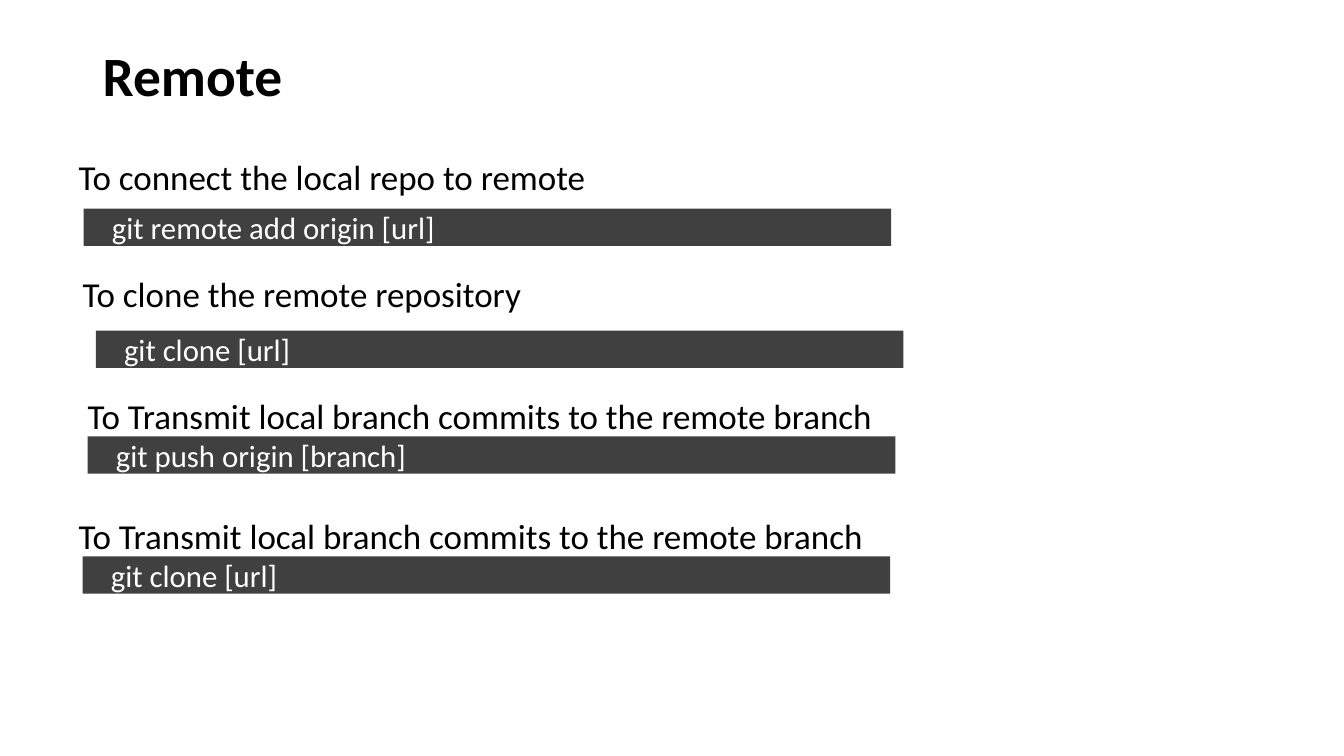
import dataclasses

import pptx
import pptx.dml.color
import pptx.enum.shapes
import pptx.enum.text
import pptx.util
from pptx.util import Inches


@dataclasses.dataclass(frozen=True)
class Theme:
    font: str = "Calibri"
    ink: str = "000000"
    code_ink: str = "FFFFFF"
    code_fill: str = "404040"
    title_size: float = 39.6
    label_size: float = 25
    code_size: float = 22


THEME = Theme()

STEPS = [
    ("To connect the local repo to remote", (0.78, 1.54),
     "git remote add origin [url]", (0.83, 2.07)),
    ("To clone the remote repository", (0.82, 2.7),
     "git clone [url]", (0.95, 3.28)),
    ("To Transmit local branch commits to the remote branch", (0.87, 3.91),
     "git push origin [branch]", (0.87, 4.33)),
    ("To Transmit local branch commits to the remote branch", (0.78, 5.1),
     "git clone [url]", (0.82, 5.52)),
]


def write(sp, text, size, color, anchor, margins, bold=False):
    tf = sp.text_frame
    tf.word_wrap = True
    tf.vertical_anchor = anchor
    tf.margin_left, tf.margin_top, tf.margin_right, tf.margin_bottom = map(Inches, margins)
    p = tf.paragraphs[0]
    p.alignment = pptx.enum.text.PP_ALIGN.LEFT
    r = p.add_run()
    r.text = text
    r.font.name = THEME.font
    r.font.size = pptx.util.Pt(size)
    r.font.bold = bold
    r.font.color.rgb = pptx.dml.color.RGBColor.from_string(color)
    return p


def add_title(s, text, left, top, width, height):
    sp = s.shapes.add_textbox(*map(Inches, (left, top, width, height)))
    p = write(sp, text, THEME.title_size, THEME.ink,
              pptx.enum.text.MSO_ANCHOR.MIDDLE, (0.1, 0.05, 0.1, 0.05), bold=True)
    p.line_spacing = 0.9


def add_label(s, text, left, top, width=12.05, height=0.42):
    sp = s.shapes.add_textbox(*map(Inches, (left, top, width, height)))
    write(sp, text, THEME.label_size, THEME.ink,
          pptx.enum.text.MSO_ANCHOR.MIDDLE, (0, 0, 0, 0))


def add_command(s, text, left, top, width=8.01, height=0.37):
    sp = s.shapes.add_shape(pptx.enum.shapes.MSO_SHAPE.RECTANGLE,
                            *map(Inches, (left, top, width, height)))
    sp.shadow.inherit = False
    sp.fill.solid()
    sp.fill.fore_color.rgb = pptx.dml.color.RGBColor.from_string(THEME.code_fill)
    sp.line.fill.background()
    write(sp, text, THEME.code_size, THEME.code_ink,
          pptx.enum.text.MSO_ANCHOR.TOP, (0.28, 0, 0, 0))


def main():
    prs = pptx.Presentation()
    prs.slide_width, prs.slide_height = Inches(13.33), Inches(7.5)
    s = prs.slides.add_slide(prs.slide_layouts[6])
    add_title(s, "Remote", 0.92, 0.4, 10.92, 0.75)
    for label, label_at, command, command_at in STEPS:
        add_label(s, label, *label_at)
        add_command(s, command, *command_at)
    prs.save("out.pptx")


if __name__ == "__main__":
    main()
